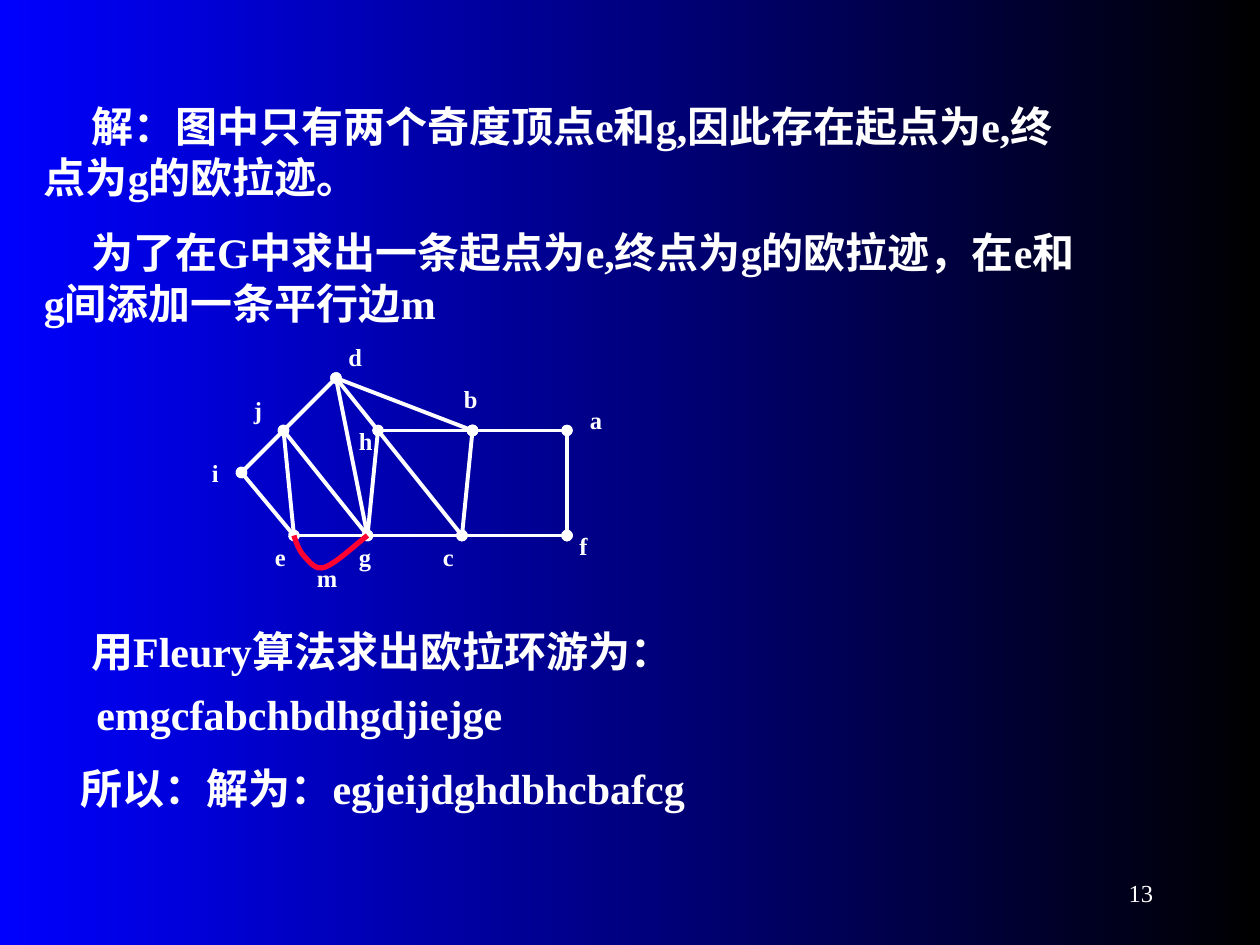
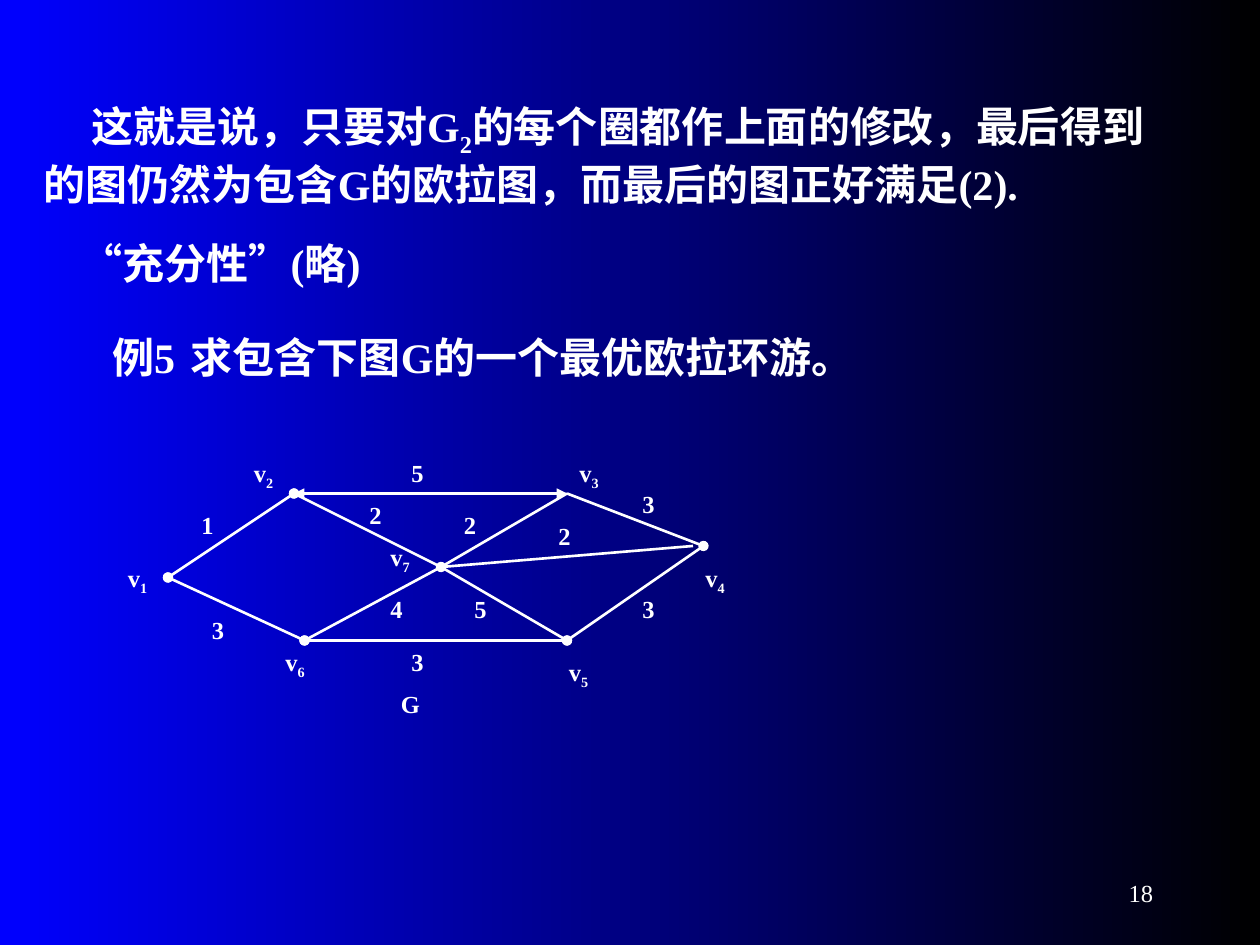
from lxml.etree import SubElement
from pptx import Presentation
from pptx.dml.color import RGBColor
from pptx.enum.lang import MSO_LANGUAGE_ID
from pptx.enum.shapes import MSO_CONNECTOR
from pptx.enum.text import MSO_ANCHOR, MSO_AUTO_SIZE, PP_ALIGN
from pptx.oxml.ns import qn
from pptx.util import Pt

WHITE, BLUE, BLACK, RED = "FFFFFF", "0000FF", "000000", "FF0033"
FONT = "Times New Roman"
BODY_SIZE, LABEL_SIZE = 24, 14
CHINESE_INDENT, LATIN_INDENT = 27, 30

EULER_NODES = {
    "a": (324, 246), "b": (270, 246), "c": (264, 306), "d": (192, 216),
    "e": (168, 306), "f": (324, 306), "g": (210, 306), "h": (216, 246),
    "i": (138, 270), "j": (162, 246),
}
EULER_DOTTED_EDGES = ["ji", "ie", "db", "jg", "dg", "hb", "bc", "cf", "af"]
EULER_PLAIN_EDGES = ["dj", "je", "eg", "dh", "hg", "gc", "hc", "ba"]
EULER_LABELS = [
    ("a", 330, 228), ("f", 324, 300), ("e", 150, 306), ("d", 192, 192),
    ("c", 246, 306), ("b", 258, 216), ("i", 114, 258), ("h", 198, 240),
    ("g", 198, 306), ("j", 138, 222), ("m", 174, 318),
]
EDGE_M_CURVES = [
    [(168, 306), (169.2, 310.3), (171.4, 315.4), (174, 318)],
    [(174, 318), (177.1, 321.1), (180, 326.2), (186, 324)],
    [(186, 324), (192.2, 321.8), (205.9, 308.9), (210, 306)],
]

WEIGHTED_NODES = {
    "1": (96, 330), "2": (168, 282), "3": (324, 282), "4": (402, 312),
    "5": (324, 366), "6": (174, 366), "7": (252, 324),
}
WEIGHTED_DOTTED_EDGES = ["21", "16", "65", "54", "27"]
WEIGHTED_PLAIN_EDGES = ["34", "37", "76", "75"]
VERTEX_LABELS = [
    ("1", 66, 318), ("2", 138, 258), ("3", 324, 258), ("4", 396, 318),
    ("5", 318, 372), ("6", 156, 366), ("7", 216, 306),
]
WEIGHT_LABELS = [
    ("1", 108, 288), ("3", 114, 348), ("2", 258, 288), ("2", 204, 282),
    ("5", 228, 258), ("2", 312, 294), ("3", 360, 276), ("3", 360, 336),
    ("3", 228, 366), ("5", 264, 336), ("4", 216, 336), ("G", 222, 390),
]


def color(hex_string):
    return RGBColor.from_string(hex_string)


def add_run(paragraph, text, size, bold=True, subscript=False):
    run = paragraph.add_run()
    run.text = text
    run.font.name = FONT
    run.font.size = Pt(size)
    run.font.bold = bold
    run.font.color.rgb = color(WHITE)
    run.font.language_id = MSO_LANGUAGE_ID.SIMPLIFIED_CHINESE
    if subscript:
        run._r.get_or_add_rPr().set("baseline", "-25000")


def add_text_box(shapes, left, top, width, height):
    """Add a wrapping box and return its first paragraph."""
    box = shapes.add_textbox(Pt(left), Pt(top), Pt(width), Pt(height))
    box.text_frame.word_wrap = True
    box.text_frame.auto_size = MSO_AUTO_SIZE.SHAPE_TO_FIT_TEXT
    return box.text_frame.paragraphs[0]


def add_body(slide, left, top, width, height, *pieces, indent=CHINESE_INDENT, tab=None):
    """Add an indented passage; every second piece is a subscript."""
    paragraph = add_text_box(slide.shapes, left, top, width, height)
    properties = paragraph._p.get_or_add_pPr()
    properties.set("marL", "0")
    properties.set("indent", str(Pt(indent)))
    if tab:
        tab_list = SubElement(properties, qn("a:tabLst"))
        SubElement(tab_list, qn("a:tab"), pos=str(Pt(tab)), algn="l")
    for index, piece in enumerate(pieces):
        add_run(paragraph, piece, BODY_SIZE, subscript=index % 2 == 1)


def add_label(shapes, left, top, text, subscript="", width=34):
    paragraph = add_text_box(shapes, left, top, width, 26.5 if subscript else 24.5)
    add_run(paragraph, text, LABEL_SIZE)
    if subscript:
        add_run(paragraph, subscript, LABEL_SIZE, subscript=True)


def add_edge(shapes, start, end, width, ends=None):
    edge = shapes.add_connector(
        MSO_CONNECTOR.STRAIGHT, *(Pt(value) for value in (*start, *end)))
    edge.line.color.rgb = color(WHITE)
    edge.line.width = Pt(width)
    if ends:
        line = edge.line._get_or_add_ln()
        for tag in ("a:headEnd", "a:tailEnd"):
            SubElement(line, qn(tag), type=ends)
    SubElement(edge._element.spPr, qn("a:effectLst"))


def add_edges(shapes, nodes, pairs, width, ends=None):
    for start, end in pairs:
        add_edge(shapes, nodes[start], nodes[end], width, ends)


def curve_points(controls, steps=8):
    """Return points along a cubic curve, without its start."""
    points = []
    for step in range(1, steps + 1):
        t = step / steps
        weights = ((1 - t) ** 3, 3 * t * (1 - t) ** 2, 3 * t ** 2 * (1 - t), t ** 3)
        points.append(tuple(
            Pt(sum(weight * value for weight, value in zip(weights, axis)))
            for axis in zip(*controls)))
    return points


def add_curve(shapes, curves, line_color, width):
    start_x, start_y = curves[0][0]
    builder = shapes.build_freeform(Pt(start_x), Pt(start_y))
    points = [point for controls in curves for point in curve_points(controls)]
    builder.add_line_segments(points, close=False)
    curve = builder.convert_to_shape()
    curve.shadow.inherit = False
    curve.fill.background()
    curve.line.color.rgb = color(line_color)
    curve.line.width = Pt(width)


def add_page_number(slide, number):
    box = slide.shapes.add_textbox(Pt(516), Pt(492), Pt(150), Pt(36))
    box.text_frame.word_wrap = True
    box.text_frame.vertical_anchor = MSO_ANCHOR.MIDDLE
    paragraph = box.text_frame.paragraphs[0]
    paragraph.alignment = PP_ALIGN.RIGHT
    add_run(paragraph, str(number), LABEL_SIZE, bold=False)


def set_background(master):
    fill = master.background.fill
    fill.gradient()
    fill.gradient_angle = 0
    for stop, position, stop_color in zip(fill.gradient_stops, (0, 1), (BLUE, BLACK)):
        stop.position = position
        stop.color.rgb = color(stop_color)


def add_slide(presentation, number):
    slide = presentation.slides.add_slide(presentation.slide_layouts[6])
    add_page_number(slide, number)
    return slide


def add_euler_graph(slide):
    shapes = slide.shapes.add_group_shape().shapes
    add_edges(shapes, EULER_NODES, EULER_PLAIN_EDGES, 2.25)
    add_edges(shapes, EULER_NODES, EULER_DOTTED_EDGES, 2.25, "oval")
    add_curve(shapes, EDGE_M_CURVES, RED, 3)
    for text, left, top in EULER_LABELS:
        add_label(shapes, left, top, text, width=31)


def add_weighted_graph(slide):
    shapes = slide.shapes.add_group_shape().shapes
    add_edges(shapes, WEIGHTED_NODES, ["23"], 1.5, "triangle")
    add_edges(shapes, WEIGHTED_NODES, WEIGHTED_DOTTED_EDGES, 1.5, "oval")
    add_edges(shapes, WEIGHTED_NODES, WEIGHTED_PLAIN_EDGES, 1.5)
    add_edge(shapes, WEIGHTED_NODES["7"], (396, 312), 1.5)
    for number, left, top in VERTEX_LABELS:
        add_label(shapes, left, top, "v", number)
    for text, left, top in WEIGHT_LABELS:
        add_label(shapes, left, top, text)


def add_euler_trail_slide(presentation):
    slide = add_slide(presentation, 13)
    add_body(slide, 18, 54, 606, 65,
             "解：图中只有两个奇度顶点e和g,因此存在起点为e,终点为g的欧拉迹。")
    add_body(slide, 18, 126, 606, 65,
             "为了在G中求出一条起点为e,终点为g的欧拉迹，在e和g间添加一条平行边m")
    add_euler_graph(slide)
    add_body(slide, 18, 354, 606, 36, "用Fleury算法求出欧拉环游为：")
    add_body(slide, 18, 390, 606, 36, "emgcfabchbdhgdjiejge", indent=LATIN_INDENT)
    add_body(slide, 12, 432, 606, 36, "所以：解为：egjeijdghdbhcbafcg")


def add_optimal_tour_slide(presentation):
    slide = add_slide(presentation, 18)
    add_body(slide, 18, 54, 654, 69, "这就是说，只要对G", "2",
             "的每个圈都作上面的修改，最后得到的图仍然为包含G的欧拉图，而最后的图正好满足(2).")
    add_body(slide, 12, 132, 630, 36, "“充分性”(略)")
    add_body(slide, 30, 186, 630, 36, "例5\t求包含下图G的一个最优欧拉环游。", tab=86)
    add_weighted_graph(slide)


def main():
    presentation = Presentation()
    presentation.slide_width, presentation.slide_height = Pt(720), Pt(540)
    set_background(presentation.slide_master)
    add_euler_trail_slide(presentation)
    add_optimal_tour_slide(presentation)
    presentation.save("out.pptx")


if __name__ == "__main__":
    main()
